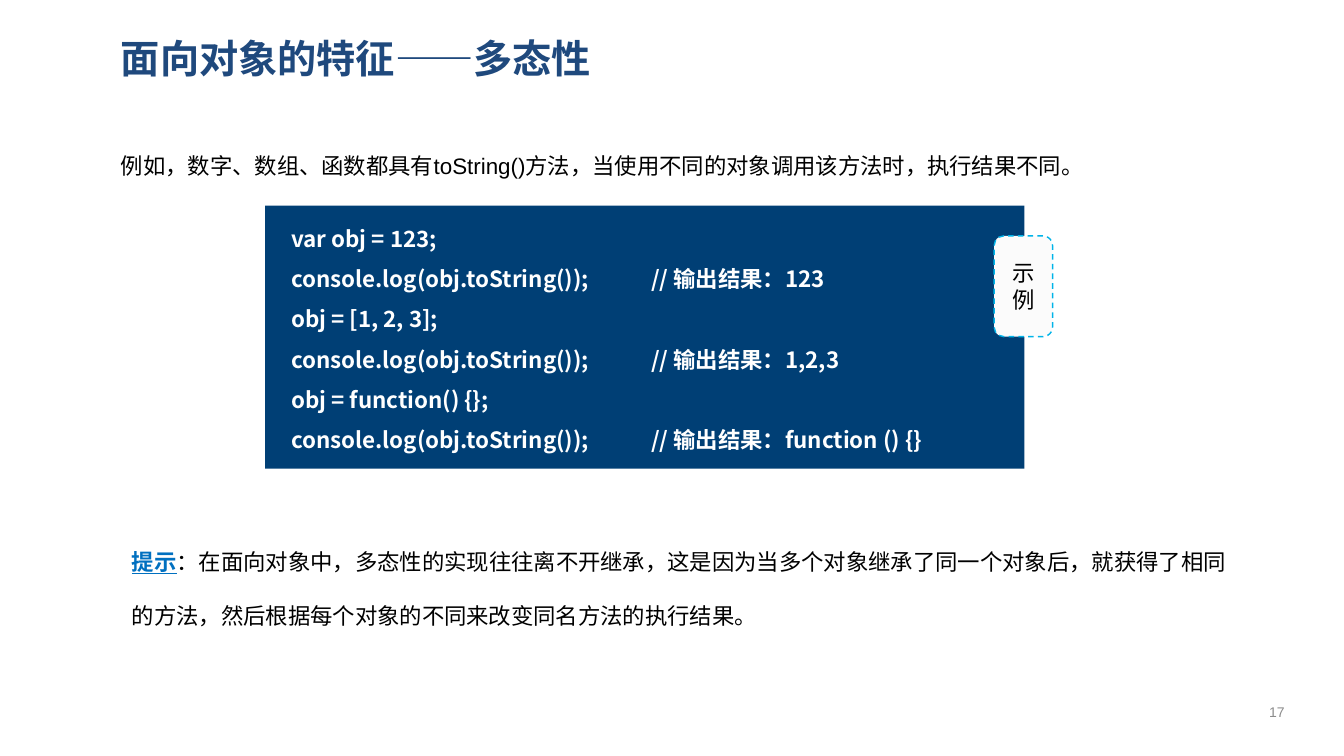
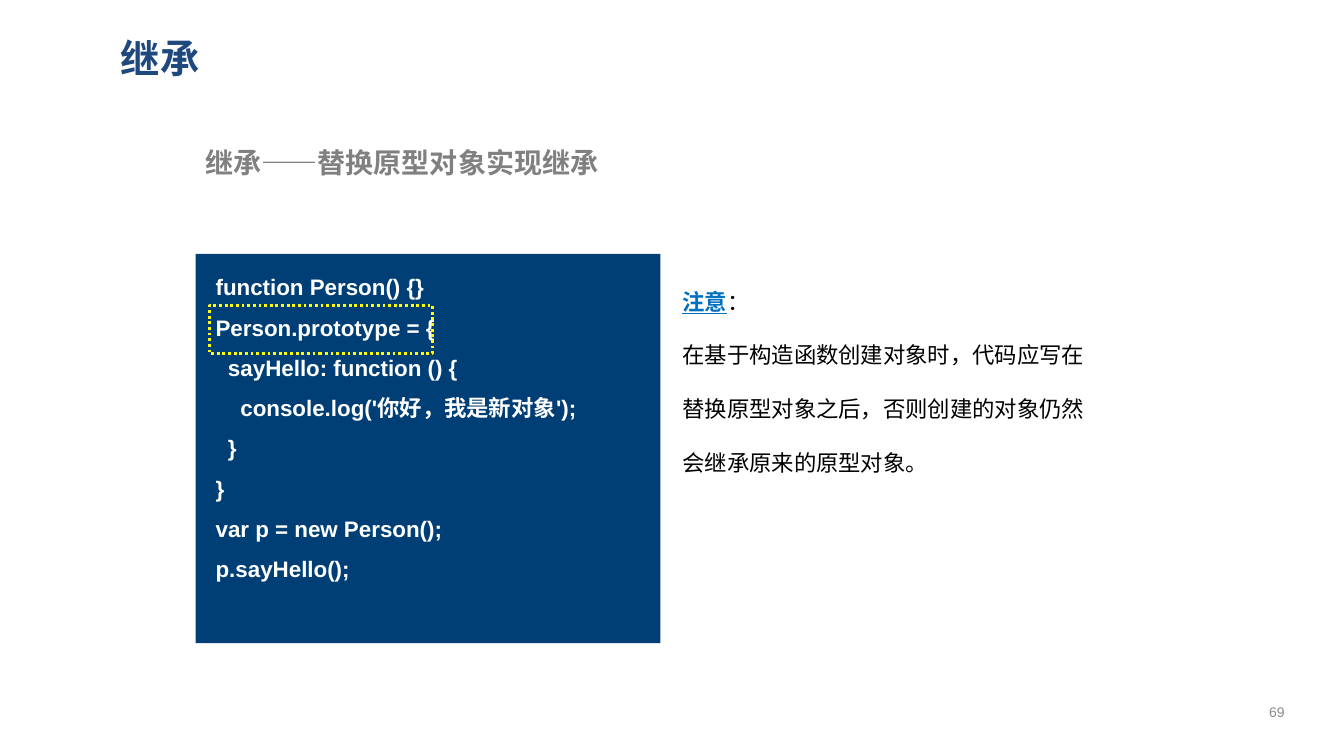
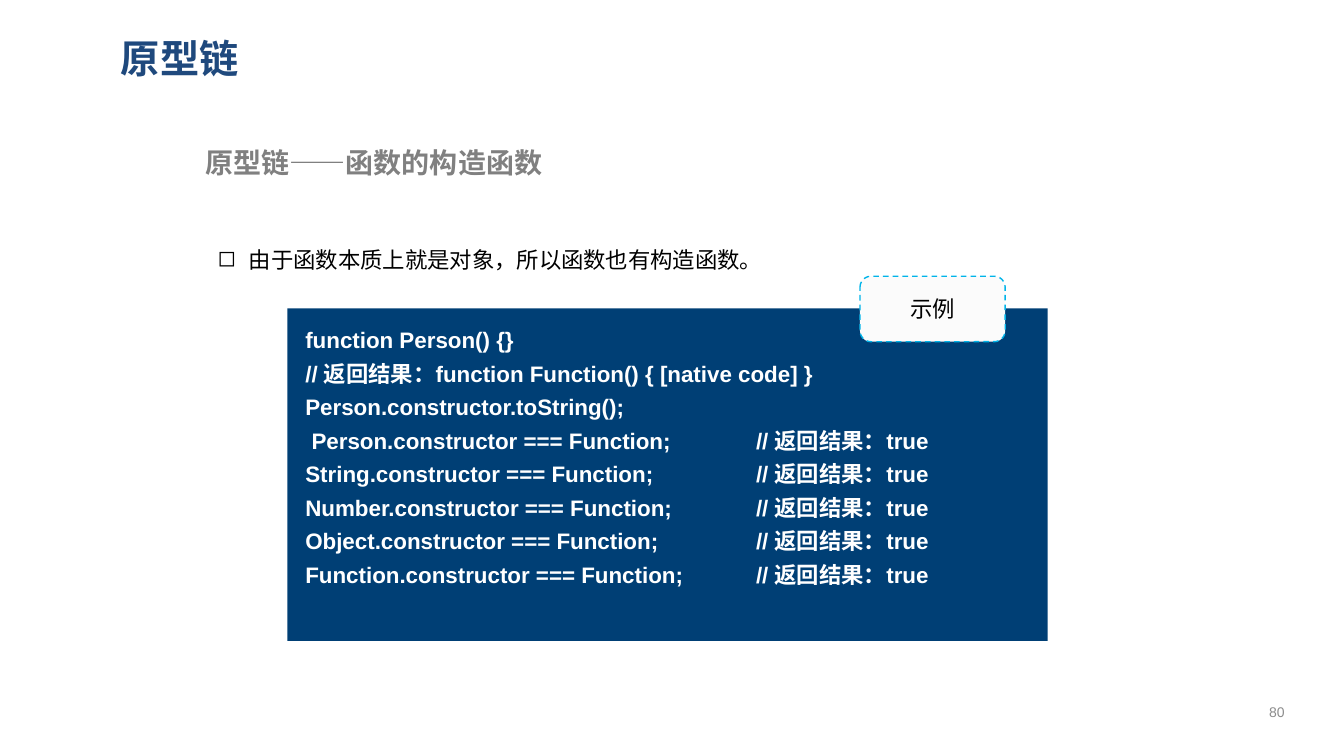
from lxml.etree import SubElement
from pptx import Presentation
from pptx.dml.color import RGBColor
from pptx.enum.dml import MSO_LINE
from pptx.enum.shapes import MSO_SHAPE
from pptx.enum.text import MSO_ANCHOR, MSO_AUTO_SIZE, PP_ALIGN
from pptx.oxml.ns import qn
from pptx.util import Inches, Pt

NAVY = RGBColor(0x1F, 0x49, 0x7D)
PANEL = RGBColor(0x00, 0x3F, 0x75)
BLUE = RGBColor(0x00, 0x70, 0xC0)
CYAN = RGBColor(0x00, 0xB4, 0xE9)
YELLOW = RGBColor(0xFF, 0xFF, 0x00)
BLACK = RGBColor(0x00, 0x00, 0x00)
WHITE = RGBColor(0xFF, 0xFF, 0xFF)
PALE = RGBColor(0xFB, 0xFB, 0xFB)
GREY = RGBColor(0x80, 0x80, 0x80)
FAINT = RGBColor(0x8C, 0x8C, 0x8C)
SANS = "Arial"
CJK = "Noto Sans CJK SC"


class Deck:
    def __init__(self):
        self.file = Presentation()
        self.file.slide_width = Inches(13.33)
        self.file.slide_height = Inches(7.5)

    def style(self, frame, size=16, color=BLACK, face=SANS, bold=False,
              space=1, align=PP_ALIGN.LEFT):
        frame.word_wrap = True
        frame.auto_size = MSO_AUTO_SIZE.NONE
        for para in frame.paragraphs:
            para.alignment = align
            para.line_spacing = space
            for run in para.runs:
                font = run.font
                font.size = Pt(size)
                font.bold = bold
                font.name = face
                font.color.rgb = color
                SubElement(font._element, qn("a:ea")).set("typeface", CJK)

    def page(self, title, number):
        self.slide = self.file.slides.add_slide(self.file.slide_layouts[5])
        self.shapes = self.slide.shapes
        head = self.shapes.title
        head.left, head.top, head.width, head.height = map(
            Inches, (1.1, 0.24, 11.65, 0.67))
        frame = head.text_frame
        frame.text = title
        frame.vertical_anchor = MSO_ANCHOR.MIDDLE
        self.style(frame, 28, NAVY, CJK, True)
        foot = self.text((12.34, 6.86, 0.65, 0.4), str(number), size=10,
                         color=FAINT, align=PP_ALIGN.CENTER)
        foot.vertical_anchor = MSO_ANCHOR.MIDDLE

    def text(self, area, words, home=None, **look):
        box = (home or self.shapes).add_textbox(*map(Inches, area))
        frame = box.text_frame
        frame.text = words
        self.style(frame, **look)
        return frame

    def topic(self, words):
        self.text((1.94, 1.39, 9.22, 0.44), words, size=20, color=GREY,
                  face=CJK, bold=True)

    def note(self, area, lead, rest):
        frame = self.text(area, lead + rest)
        first = frame.paragraphs[0]
        tail = first.text[len(lead):]
        first.text = lead
        first.add_run().text = tail
        self.style(frame, space=2)
        font = first.runs[0].font
        font.bold = font.underline = True
        font.color.rgb = BLUE

    def bullet(self, area, words):
        frame = self.text(area, words, space=2)
        for para in frame.paragraphs:
            props = para._p.get_or_add_pPr()
            props.set("marL", str(Inches(0.31)))
            props.set("indent", str(-Inches(0.31)))
            SubElement(props, qn("a:buChar")).set("char", "◻")

    def shape(self, kind, area, fill=None, line=None, dash=None, width=1,
              home=None):
        shape = (home or self.shapes).add_shape(kind, *map(Inches, area))
        shape.shadow.inherit = False
        if fill is None:
            shape.fill.background()
        else:
            shape.fill.solid()
            shape.fill.fore_color.rgb = fill
        if line is None:
            shape.line.fill.background()
        else:
            shape.line.color.rgb = line
            shape.line.width = Pt(width)
            shape.line.dash_style = dash
        return shape

    def code(self, panel, area, words, face=SANS, space=1.5, tab=None):
        home = self.shapes.add_group_shape().shapes
        self.shape(MSO_SHAPE.RECTANGLE, panel, PANEL, home=home)
        frame = self.text(area, words, home, color=WHITE, face=face,
                          bold=True, space=space)
        if tab:
            for para in frame.paragraphs:
                stops = SubElement(para._p.get_or_add_pPr(), qn("a:tabLst"))
                stop = SubElement(stops, qn("a:tab"))
                stop.set("pos", str(Inches(tab)))
                stop.set("algn", "l")

    def badge(self, area):
        shape = self.shape(MSO_SHAPE.ROUNDED_RECTANGLE, area, PALE, CYAN,
                           MSO_LINE.DASH)
        frame = shape.text_frame
        frame.text = "示例"
        frame.vertical_anchor = MSO_ANCHOR.MIDDLE
        self.style(frame, align=PP_ALIGN.CENTER)

    def frame(self, area):
        self.shape(MSO_SHAPE.RECTANGLE, area, line=YELLOW,
                   dash=MSO_LINE.ROUND_DOT, width=2)


def main():
    deck = Deck()

    deck.page("面向对象的特征——多态性", 17)
    deck.text((1.1, 1.19, 11.24, 0.55),
              "例如，数字、数组、函数都具有toString()方法，"
              "当使用不同的对象调用该方法时，执行结果不同。", space=2)
    log = "console.log(obj.toString());\t// 输出结果："
    deck.code((2.63, 2.04, 7.53, 2.61), (2.79, 2.05, 7.37, 2.48),
              "var obj = 123;\n"
              f"{log}123\n"
              "obj = [1, 2, 3];\n"
              f"{log}1,2,3\n"
              "obj = function() {};\n"
              f"{log}function () {{}}", face=CJK, tab=3.57)
    deck.badge((9.86, 2.34, 0.58, 1))
    deck.note((1.21, 5.12, 11.13, 1.09), "提示",
              "：在面向对象中，多态性的实现往往离不开继承，"
              "这是因为当多个对象继承了同一个对象后，就获得了相同的方法，"
              "然后根据每个对象的不同来改变同名方法的执行结果。")

    deck.page("继承", 69)
    deck.topic("继承——替换原型对象实现继承")
    deck.code((1.94, 2.52, 4.61, 3.86), (2.04, 2.53, 4.41, 2.83),
              "function Person() {}\n"
              "Person.prototype = {\n"
              "  sayHello: function () {\n"
              "    console.log('你好，我是新对象');\n"
              "  }\n"
              "}\n"
              "var p = new Person();\n"
              "p.sayHello();")
    deck.frame((2.08, 3.03, 2.21, 0.48))
    deck.note((6.67, 2.54, 4.26, 2.52), "注意",
              "：\n在基于构造函数创建对象时，代码应写在替换原型对象之后，"
              "否则创建的对象仍然会继承原来的原型对象。")

    deck.page("原型链", 80)
    deck.topic("原型链——函数的构造函数")
    deck.bullet((2.06, 2.13, 9.19, 0.61),
                "由于函数本质上就是对象，所以函数也有构造函数。")
    names = (" Person", "String", "Number", "Object", "Function")
    tests = [f"{name}.constructor === Function;\t// 返回结果：true"
             for name in names]
    deck.code((2.85, 3.06, 7.54, 3.3), (2.93, 3.12, 7.45, 3.13),
              "\n".join(["function Person() {}",
                         "// 返回结果：function Function() { [native code] }",
                         "Person.constructor.toString();", *tests]),
              space=1.25, tab=4.47)
    deck.badge((8.53, 2.74, 1.44, 0.65))

    deck.file.save("out.pptx")


if __name__ == "__main__":
    main()
